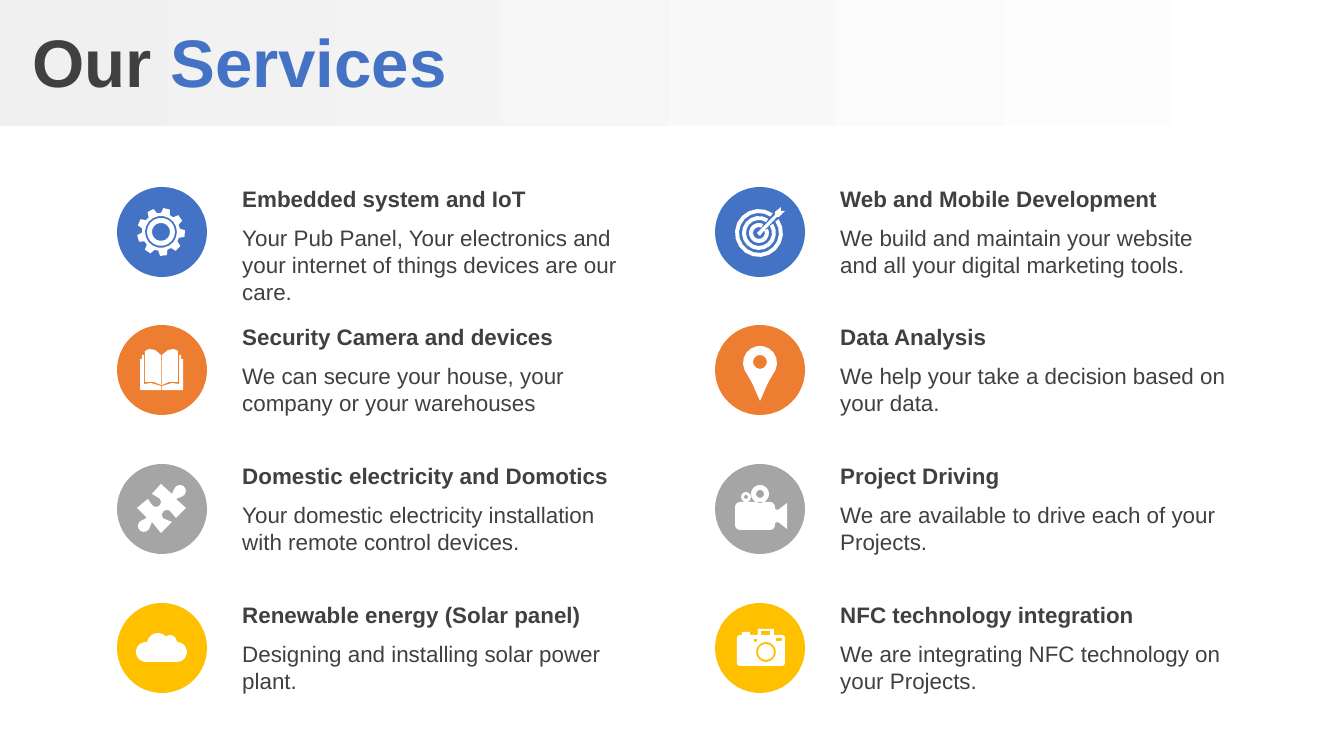
from math import cos, radians, sin

from pptx import Presentation
from pptx import util as u
from pptx.dml.color import RGBColor
from pptx.enum import shapes, text

PX = 914400 / 134.4
FONT = "Arial"
COLORS = {
    "ink": "404040", "blue": "4472C4", "orange": "ED7D31", "gray": "A5A5A5",
    "yellow": "FFC000", "white": "FFFFFF", "band": "F0F0F0",
}


def px(n):
    return u.Emu(round(n * PX))


def rgb(name):
    return RGBColor.from_string(COLORS[name])


def arc(cx, cy, r, a0=0, a1=360):
    n = max(2, abs(a1 - a0) // (20 if r > 8 else 30))
    angles = [radians(a0 + (a1 - a0) * i / n) for i in range(n + 1)]
    return [(cx + r * cos(a), cy + r * sin(a)) for a in angles]


def rect(x0, y0, x1, y1):
    return [(x0, y0), (x1, y0), (x1, y1), (x0, y1)]


def round_rect(x0, y0, x1, y1, r):
    return (arc(x1 - r, y0 + r, r, 270, 360) + arc(x1 - r, y1 - r, r, 0, 90)
            + arc(x0 + r, y1 - r, r, 90, 180) + arc(x0 + r, y0 + r, r, 180, 270))


def split_ring(cx, cy, outer, inner, gap):
    a0, a1 = gap - 45, 315 - gap
    return arc(cx, cy, outer, a0, a1) + arc(cx, cy, inner, a1, a0)


def gear():
    teeth = []
    for i in range(9):
        for r, offset in [(19, -14), (24, -8), (24, 8), (19, 14)]:
            a = radians(40 * i + 4 + offset)
            teeth.append((44 + r * cos(a), 45 + r * sin(a)))
    return [teeth] + [arc(44, 45, r) for r in (16, 14, 9)]


def book():
    page = [(28, 26), (32, 24), (38, 25), (44, 30), (44, 60), (37, 57), (28, 57)]
    cover = [(23, 34), (25, 34), (25, 30), (27, 30), (27, 59), (34, 58), (44, 61), (44, 65), (23, 65)]
    return [page, cover] + [[(89 - x, y) for x, y in half] for half in (page, cover)]


def puzzle():
    return [
        arc(63, 27, 6, -150, 70) + [(59, 35), (69, 44), (59, 54)] + arc(50, 51, 5, -45, -225)
        + [(55, 58), (44, 69), (35, 58)] + arc(27, 62, 6, 30, 250)
        + [(30, 54), (20, 44), (31, 35)] + arc(39, 38, 5, 135, -45)
        + [(35, 30), (44, 20), (55, 30)]
    ]


def cloud():
    return [
        arc(29, 49, 10, 90, 270) + arc(41, 41, 11, 190, 320)
        + arc(53, 39, 7, 230, 360) + arc(60, 49, 10, 270, 450)
    ]


def target():
    arrow = [(66, 20), (66, 24), (70, 24), (64, 30), (62, 30), (48, 45), (45, 49),
             (42, 46), (45, 43), (60, 28), (60, 25)]
    rings = [(24, 20, 10), (17, 13, 12), (10, 6, 20)]
    return [split_ring(44, 46, *ring) for ring in rings] + [arrow]


def pin():
    return [arc(45, 38, 17, 155, 385) + [(53, 58), (45, 76), (37, 58)], arc(45, 37, 7)]


def film_camera():
    horn = [(60, 45), (63, 46), (72, 39), (72, 65), (63, 58), (60, 59)]
    reels = [arc(45, 30, 9), arc(45, 30, 4), arc(31, 33, 5), arc(31, 33, 2)]
    return [round_rect(20, 38, 60, 66, 5), horn] + reels


def photo_camera():
    bumps = [rect(27, 29, 35, 32), rect(43, 26, 59, 32), rect(46, 28, 55, 32)]
    windows = [rect(39, 36, 42, 39), rect(61, 35, 67, 38)]
    return [round_rect(22, 32, 70, 63, 3), arc(51, 49, 10), arc(51, 49, 8)] + bumps + windows


def paint(sp, color):
    sp.shadow.inherit = False
    sp.fill.solid()
    sp.fill.fore_color.rgb = rgb(color)
    sp.line.fill.background()


def add_run(p, words, size, color, bold=False):
    r = p.add_run()
    r.text = words
    r.font.name = FONT
    r.font.size = u.Pt(size)
    r.font.bold = bold
    r.font.color.rgb = rgb(color)


def add_icon(s, x, y, contours):
    builder = None
    for contour in contours:
        pts = [((x + a) * PX, (y + b) * PX) for a, b in contour]
        if builder is None:
            builder = s.shapes.build_freeform(*pts[0], scale=1.0)
        else:
            builder.move_to(*pts[0])
        builder.add_line_segments(pts[1:], close=True)
    paint(builder.convert_to_shape(), "white")


def add_label(s, x, y, w, h, words, bold=False):
    tf = s.shapes.add_textbox(px(x), px(y), px(w), px(h)).text_frame
    tf.word_wrap = True
    add_run(tf.paragraphs[0], words, 12, "ink", bold)


def add_header(s, x, y, w, h):
    band = s.shapes.add_shape(shapes.MSO_SHAPE.RECTANGLE, px(x), px(y), px(w), px(h))
    band.shadow.inherit = False
    band.line.fill.background()
    band.fill.gradient()
    band.fill.gradient_angle = 0
    for stop, position, color in zip(band.fill.gradient_stops, (0, 1), ("band", "white")):
        stop.position = position
        stop.color.rgb = rgb(color)

    title = s.shapes.title
    band._element.addnext(title._element)
    title.left, title.top, title.width, title.height = px(x), px(y + 4), px(w + 5), px(h - 12)
    tf = title.text_frame
    tf.auto_size = text.MSO_AUTO_SIZE.NONE
    tf.vertical_anchor = text.MSO_ANCHOR.MIDDLE
    p = tf.paragraphs[0]
    p.alignment = text.PP_ALIGN.LEFT
    add_run(p, " Our ", 36, "ink", True)
    add_run(p, "Services", 36, "blue", True)


def add_service(s, x, y, color, icon, name, detail):
    disc = s.shapes.add_shape(shapes.MSO_SHAPE.OVAL, px(x), px(y), px(90), px(90))
    paint(disc, color)
    add_icon(s, x, y, icon())
    add_label(s, x + 112, y - 8, 417, 40, name, True)
    add_label(s, x + 112, y + 31, 417, 67, detail)


SERVICES = [
    [
        (gear, "Embedded system and IoT",
         "Your Pub Panel, Your electronics and your internet of things devices are our care."),
        (book, "Security Camera and devices", "We can secure your house, your company or your warehouses"),
        (puzzle, "Domestic electricity and Domotics",
         "Your domestic electricity installation with remote control devices."),
        (cloud, "Renewable energy (Solar panel)", "Designing and installing solar power plant."),
    ],
    [
        (target, "Web and Mobile Development",
         "We build and maintain your website and all your digital marketing tools."),
        (pin, "Data Analysis", "We help your take a decision based on your data."),
        (film_camera, "Project Driving", "We are available to drive each of your Projects."),
        (photo_camera, "NFC technology integration", "We are integrating NFC technology on your Projects."),
    ],
]


def main():
    prs = Presentation()
    prs.slide_width, prs.slide_height = px(1344), px(756)
    s = prs.slides.add_slide(prs.slide_layouts[5])
    add_header(s, 0, 0, 1339, 126)
    for col, services in enumerate(SERVICES):
        for row, (color, service) in enumerate(zip(("blue", "orange", "gray", "yellow"), services)):
            add_service(s, 117 + 598 * col, 187 + 416 * row // 3, color, *service)
    prs.save("out.pptx")


if __name__ == "__main__":
    main()
